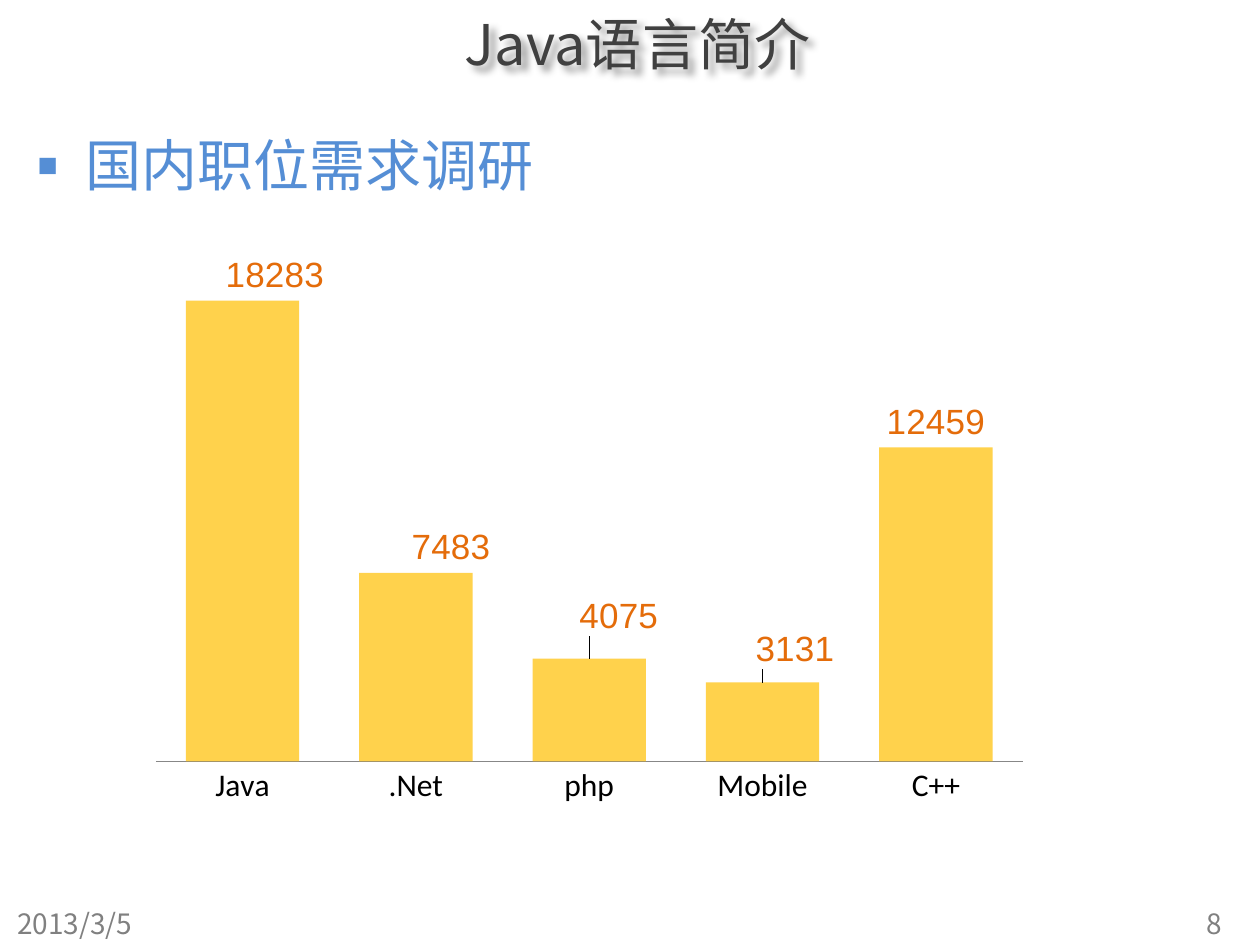
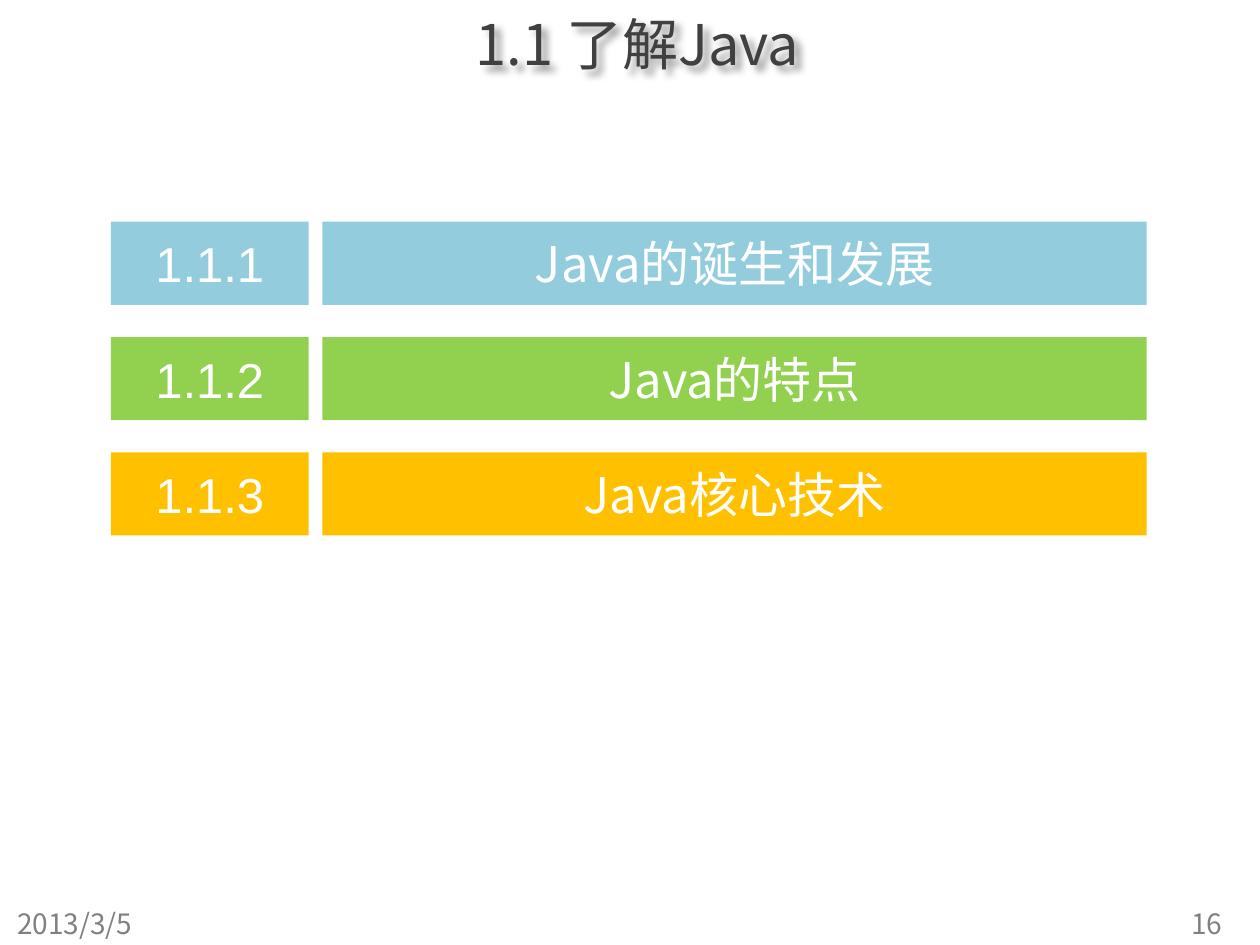
from dataclasses import dataclass

from pptx import Presentation
from pptx.chart.data import CategoryChartData
from pptx.dml.color import RGBColor
from pptx.enum.chart import XL_CHART_TYPE, XL_LABEL_POSITION, XL_TICK_MARK
from pptx.enum.shapes import MSO_SHAPE
from pptx.enum.text import MSO_ANCHOR, PP_ALIGN
from pptx.oxml import parse_xml
from pptx.oxml.ns import nsdecls, qn
from pptx.util import Inches, Pt

COLUMN_CLUSTERED = XL_CHART_TYPE.COLUMN_CLUSTERED
OUTSIDE_END = XL_LABEL_POSITION.OUTSIDE_END
NO_TICK = XL_TICK_MARK.NONE
RECTANGLE = MSO_SHAPE.RECTANGLE
TOP, MIDDLE = MSO_ANCHOR.TOP, MSO_ANCHOR.MIDDLE
LEFT, CENTER, RIGHT = PP_ALIGN.LEFT, PP_ALIGN.CENTER, PP_ALIGN.RIGHT

SLIDE_WIDTH, SLIDE_HEIGHT = Inches(10), Inches(7.5)
COLUMNS, ROWS = 100, 75

COLORS = {
    "title": "404040",
    "heading": "558ED5",
    "footer": "808080",
    "white": "FFFFFF",
    "black": "000000",
    "axis": "878787",
    "label": "E46C0A",
    "blue": "93CDDD",
    "green": "92D050",
    "gold": "FFC000",
}
CJK_FONT, NUMBER_FONT, AXIS_FONT = "Noto Sans CJK SC", "Arial", "Calibri"


@dataclass(frozen=True)
class Box:
    column: float
    row: float
    columns: float
    rows: float

    def place(self) -> tuple[int, int, int, int]:
        cell_width, cell_height = SLIDE_WIDTH / COLUMNS, SLIDE_HEIGHT / ROWS
        return (
            round(self.column * cell_width),
            round(self.row * cell_height),
            round(self.columns * cell_width),
            round(self.rows * cell_height),
        )


@dataclass(frozen=True)
class TextStyle:
    size: int
    color: str
    font: str = CJK_FONT
    align: PP_ALIGN = LEFT
    anchor: MSO_ANCHOR = MIDDLE


@dataclass(frozen=True)
class Section:
    number: str
    name: str
    color: str


@dataclass(frozen=True)
class Demand:
    language: str
    jobs: int
    label_shift: tuple[float, float] | None = None


TITLE_STYLE = TextStyle(32, "title", align=CENTER)
HEADING_STYLE = TextStyle(32, "heading", anchor=TOP)
DATE_STYLE = TextStyle(16, "footer")
PAGE_STYLE = TextStyle(16, "footer", align=RIGHT)
NUMBER_STYLE = TextStyle(28, "white", NUMBER_FONT, CENTER)
NAME_STYLE = TextStyle(28, "white", align=CENTER)

TITLE_BOX = Box(7.2, 0, 86.8, 6.8)
HEADING_BOX = Box(2, 9.9, 96.1, 63.8)
DATE_BOX = Box(0.4, 71.3, 23.3, 4)
PAGE_BOX = Box(74.7, 71.3, 23.3, 4)
CHART_BOX = Box(9.8, 15.3, 73.5, 51.4)
FIRST_NUMBER_BOX = Box(8.8, 17.6, 15.7, 6.6)
FIRST_NAME_BOX = Box(25.6, 17.6, 65.4, 6.6)
SECTION_PITCH = 9.15

DEMANDS = [
    Demand("Java", 18283, (3.5, 0)),
    Demand(".Net", 7483, (3.8, 0)),
    Demand("php", 4075, (3.2, -2.7)),
    Demand("Mobile", 3131, (3.5, -1.2)),
    Demand("C++", 12459),
]
SECTIONS = [
    Section("1.1.1", "Java的诞生和发展", "blue"),
    Section("1.1.2", "Java的特点", "green"),
    Section("1.1.3", "Java核心技术", "gold"),
]


def rgb(name: str) -> RGBColor:
    return RGBColor.from_string(COLORS[name])


def style_font(font, size: int, color: str, name: str) -> None:
    font.size, font.name = Pt(size), name
    font.color.rgb = rgb(color)


def write(shape, text: str, style: TextStyle) -> None:
    frame = shape.text_frame
    frame.word_wrap = True
    frame.vertical_anchor = style.anchor
    paragraph = frame.paragraphs[0]
    paragraph.alignment = style.align
    run = paragraph.add_run()
    run.text = text
    style_font(run.font, style.size, style.color, style.font)
    east_asian = parse_xml(f'<a:ea {nsdecls("a")} typeface="{CJK_FONT}"/>')
    run.font._element.find(qn("a:latin")).addnext(east_asian)


def add_text(slide, box: Box, text: str, style: TextStyle):
    shape = slide.shapes.add_textbox(*box.place())
    write(shape, text, style)
    return shape


def add_page(presentation, title: str, number: int):
    slide = presentation.slides.add_slide(presentation.slide_layouts[6])
    slide.background.fill.solid()
    slide.background.fill.fore_color.rgb = rgb("white")
    title_shape = add_text(slide, TITLE_BOX, title, TITLE_STYLE)
    shadow = parse_xml(
        f'<a:effectLst {nsdecls("a")}><a:outerShdw blurRad="50800" dist="50800" '
        f'dir="2700000" algn="tl"><a:srgbClr val="{COLORS["black"]}">'
        '<a:alpha val="40000"/></a:srgbClr></a:outerShdw></a:effectLst>'
    )
    title_shape._element.spPr.append(shadow)
    add_text(slide, PAGE_BOX, str(number), PAGE_STYLE)
    add_text(slide, DATE_BOX, "2013/3/5", DATE_STYLE)
    return slide


def add_heading(slide, text: str) -> None:
    shape = add_text(slide, HEADING_BOX, text, HEADING_STYLE)
    properties = shape.text_frame.paragraphs[0]._p.get_or_add_pPr()
    properties.set("marL", str(Inches(0.38)))
    properties.set("indent", str(-Inches(0.38)))
    for content in (
        '<a:buSzPct {} val="60000"/>',
        '<a:buFont {} typeface="Arial"/>',
        '<a:buChar {} char="■"/>',
    ):
        properties.append(parse_xml(content.format(nsdecls("a"))))


def manual_layout(modes: dict[str, str], **percents: float):
    shares = {name: f"{percent / 100:.3f}" for name, percent in percents.items()}
    values = modes | shares
    content = "".join(f'<c:{name} val="{value}"/>' for name, value in values.items())
    return parse_xml(
        f'<c:layout {nsdecls("c")}><c:manualLayout>{content}</c:manualLayout></c:layout>'
    )


def hide_leader_lines(series) -> None:
    extension = parse_xml(
        f'<c:extLst {nsdecls("c")}><c:ext uri="{{CE6537A1-D6FC-4f65-9D91-7224C49458BB}}" '
        'xmlns:c15="http://schemas.microsoft.com/office/drawing/2012/chart">'
        '<c15:showLeaderLines val="0"/></c:ext></c:extLst>'
    )
    series._element.find(qn("c:dLbls")).append(extension)


def add_demand_chart(slide, demands: list[Demand]) -> None:
    data = CategoryChartData()
    data.categories = [demand.language for demand in demands]
    data.add_series("Series 1", [demand.jobs for demand in demands])
    chart = slide.shapes.add_chart(COLUMN_CLUSTERED, *CHART_BOX.place(), data).chart
    chart.has_legend = chart.has_title = False
    style_font(chart.font, 18, "black", AXIS_FONT)

    category_axis, value_axis = chart.category_axis, chart.value_axis
    category_axis.major_tick_mark = category_axis.minor_tick_mark = NO_TICK
    category_axis.format.line.color.rgb = rgb("axis")
    category_axis.format.line.width = Pt(0.75)
    value_axis.visible = value_axis.has_major_gridlines = False
    value_axis.minimum_scale, value_axis.maximum_scale = 0, 20000

    plot = chart.plots[0]
    plot.gap_width = 53
    plot.vary_by_categories = False
    area = chart._chartSpace.find(".//" + qn("c:plotArea"))
    for layout in area.findall(qn("c:layout")):
        area.remove(layout)
    modes = {"layoutTarget": "inner", "xMode": "edge", "yMode": "edge"}
    area.insert(0, manual_layout(modes, x=3.5, y=10, w=93.6, h=77.8))

    series = plot.series[0]
    series.format.fill.solid()
    series.format.fill.fore_color.rgb = rgb("gold")
    bar_color = series._element.find(".//" + qn("a:srgbClr"))
    bar_color.append(parse_xml(f'<a:alpha {nsdecls("a")} val="70000"/>'))

    labels = series.data_labels
    labels.show_value = True
    labels.position = OUTSIDE_END
    style_font(labels.font, 20, "label", NUMBER_FONT)
    shifts = [demand.label_shift for demand in demands if demand.label_shift]
    for index, demand in enumerate(demands):
        if demand.label_shift:
            label = series.points[index].data_label
            label.position = OUTSIDE_END
            style_font(label.font, 20, "label", NUMBER_FONT)
    for element, (x, y) in zip(series._element.iter(qn("c:dLbl")), shifts):
        element.insert(1, manual_layout({}, x=x, y=y))
    hide_leader_lines(series)


def add_bar(group, box: Box, text: str, style: TextStyle, color: str) -> None:
    bar = group.shapes.add_shape(RECTANGLE, *box.place())
    bar.shadow.inherit = False
    bar.fill.solid()
    bar.fill.fore_color.rgb = rgb(color)
    bar.line.fill.background()
    write(bar, text, style)


def add_section(slide, index: int, section: Section) -> None:
    group = slide.shapes.add_group_shape()
    for first, text, style in (
        (FIRST_NAME_BOX, section.name, NAME_STYLE),
        (FIRST_NUMBER_BOX, section.number, NUMBER_STYLE),
    ):
        row = first.row + index * SECTION_PITCH
        box = Box(first.column, row, first.columns, first.rows)
        add_bar(group, box, text, style, section.color)


def main() -> None:
    presentation = Presentation()
    presentation.slide_width, presentation.slide_height = SLIDE_WIDTH, SLIDE_HEIGHT

    demand_slide = add_page(presentation, "Java语言简介", 8)
    add_heading(demand_slide, "国内职位需求调研")
    add_demand_chart(demand_slide, DEMANDS)

    section_slide = add_page(presentation, "1.1 了解Java", 16)
    for index, section in enumerate(SECTIONS):
        add_section(section_slide, index, section)

    presentation.save("out.pptx")


if __name__ == "__main__":
    main()
